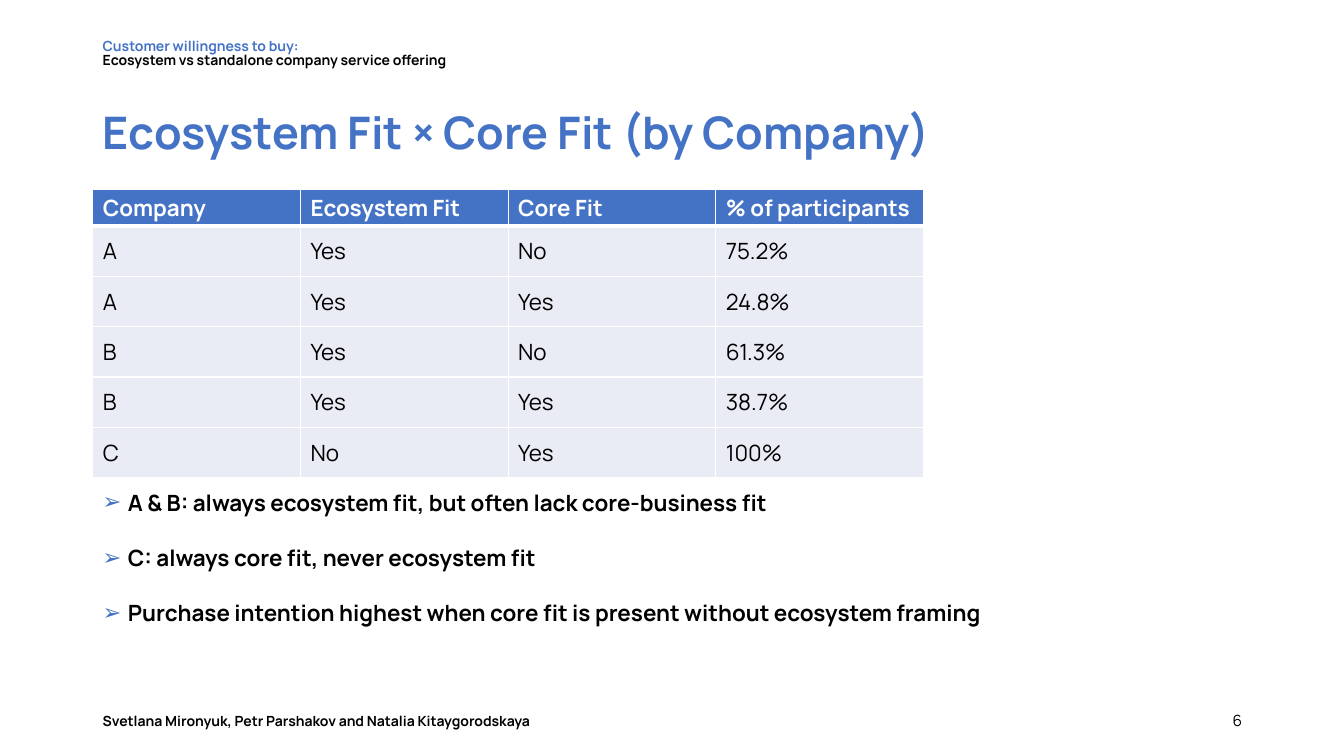
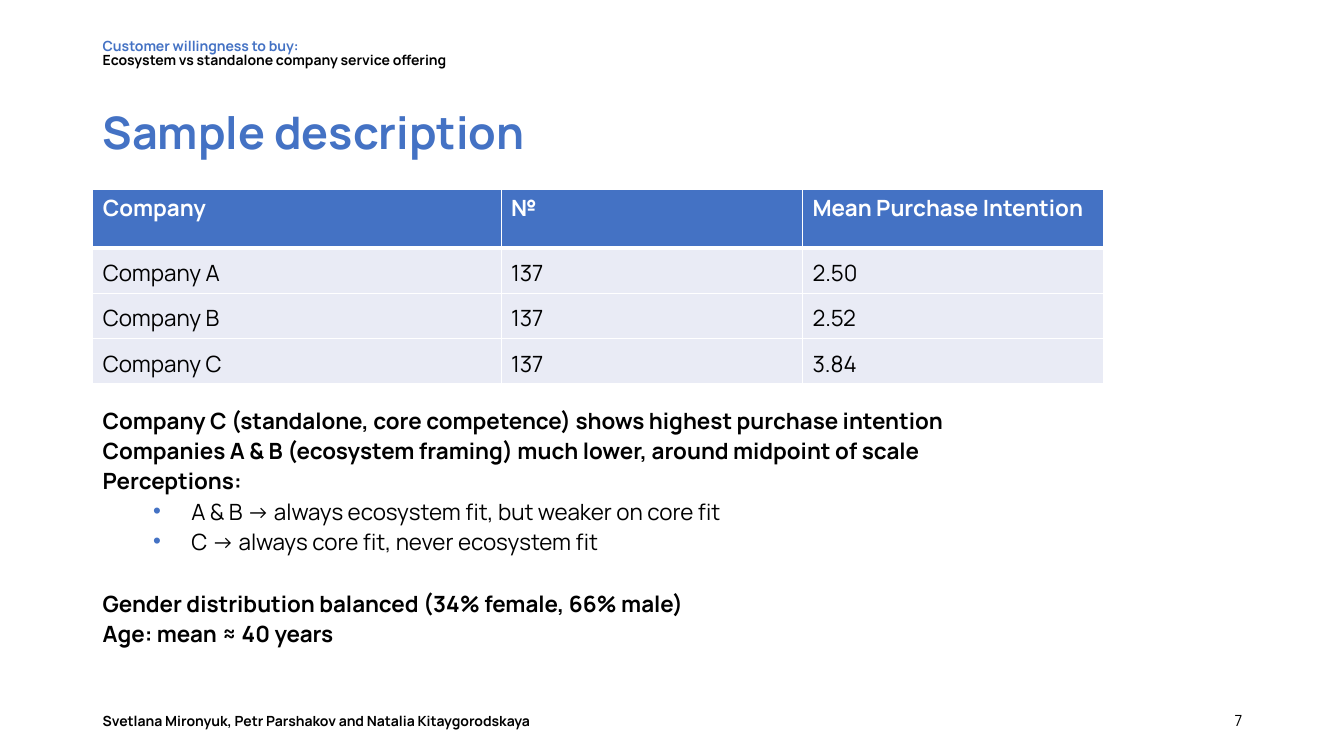
from dataclasses import dataclass

from lxml.etree import SubElement
from pptx import Presentation
from pptx.dml.color import RGBColor as Color
from pptx.enum.text import MSO_ANCHOR as Anchor, PP_ALIGN as Align
from pptx.oxml.ns import qn
from pptx.util import Emu, Pt

PX = 9144


@dataclass(frozen=True)
class Theme:
    accent: str = "4472C4"
    ink: str = "000000"
    paper: str = "FFFFFF"
    row: str = "E9EBF5"
    font: str = "Manrope"
    title: int = 32
    body: int = 16
    number: int = 11
    label: int = 10
    left: int = 92
    width: int = 1150


@dataclass(frozen=True)
class Line:
    text: str
    bold: bool = True
    bullet: str = ""
    margin: int = 0
    hanging: int = 0
    before: int = 6


def px(value):
    return Emu(value * PX)


class Deck:
    def __init__(self, theme):
        self.theme = theme
        self.presentation = Presentation()
        self.presentation.slide_width = px(1333)
        self.presentation.slide_height = px(750)
        self.slide = None

    def new_slide(self, title, number):
        theme = self.theme
        self.slide = self.presentation.slides.add_slide(self.presentation.slide_layouts[6])
        header = self.text_box(34, 40, 575, Anchor.MIDDLE)
        self.paragraph(header, 0, "Customer willingness to buy:", theme.label, theme.accent, spacing=0.83)
        self.paragraph(header, 1, "Ecosystem vs standalone company service offering", theme.label, spacing=0.83)
        heading = self.text_box(84, 100, theme.width, Anchor.MIDDLE)
        self.paragraph(heading, 0, title, theme.title, theme.accent, spacing=0.9)
        authors = self.text_box(695, 40, 499, Anchor.MIDDLE)
        self.paragraph(authors, 0, "Svetlana Mironyuk, Petr Parshakov and Natalia Kitaygorodskaya", theme.label)
        page = self.text_box(695, 40, 300, Anchor.MIDDLE, left=942)
        self.paragraph(page, 0, str(number), theme.number, bold=False).alignment = Align.RIGHT

    def text_box(self, top, height, width, anchor=Anchor.TOP, left=None):
        left = self.theme.left if left is None else left
        shape = self.slide.shapes.add_textbox(px(left), px(top), px(width), px(height))
        shape.text_frame.word_wrap = True
        shape.text_frame.vertical_anchor = anchor
        return shape.text_frame

    def paragraph(self, frame, index, text, size, color=None, bold=True, spacing=1.0):
        paragraph = frame.add_paragraph() if index else frame.paragraphs[0]
        paragraph.text = text
        paragraph.line_spacing = spacing
        for run in paragraph.runs:
            run.font.name = self.theme.font
            run.font.size = Pt(size)
            run.font.bold = bold
            run.font.color.rgb = Color.from_string(color or self.theme.ink)
        return paragraph

    def body(self, top, height, lines):
        frame = self.text_box(top, height, self.theme.width)
        for index, line in enumerate(lines):
            paragraph = self.paragraph(frame, index, line.text, self.theme.body, bold=line.bold, spacing=0.81)
            paragraph.space_before = Pt(line.before if index else 0)
            if line.bullet:
                self.bullet(paragraph, line)

    def bullet(self, paragraph, line):
        properties = paragraph._p.get_or_add_pPr()
        properties.set("marL", str(px(line.margin)))
        properties.set("indent", str(-px(line.hanging)))
        color = SubElement(properties, qn("a:buClr"))
        SubElement(color, qn("a:srgbClr"), val=self.theme.accent)
        SubElement(properties, qn("a:buFont"), typeface="Arial")
        SubElement(properties, qn("a:buChar"), char=line.bullet)

    def table(self, columns, header_height, row_height, rows, margin, spacing=1.0):
        theme = self.theme
        heights = [header_height] + [row_height] * (len(rows) - 1)
        shape = self.slide.shapes.add_table(
            len(rows), len(columns), px(theme.left), px(188), px(sum(columns)), px(sum(heights)))
        table = shape.table
        for column, width in zip(table.columns, columns):
            column.width = px(width)
        for row_index, (row, height, values) in enumerate(zip(table.rows, heights, rows)):
            row.height = px(height)
            is_header = row_index == 0
            for cell, value in zip(row.cells, values):
                self.paragraph(cell.text_frame, 0, value, theme.body,
                               theme.paper if is_header else theme.ink,
                               is_header, 0.9 if is_header else spacing)
                cell.margin_left = cell.margin_right = px(10)
                cell.margin_top = cell.margin_bottom = px(5 if is_header else margin)
                cell.fill.solid()
                cell.fill.fore_color.rgb = Color.from_string(theme.accent if is_header else theme.row)
                self.borders(cell, 3 if row_index == 1 else 1, 3 if is_header else 1)

    def borders(self, cell, top, bottom):
        properties = cell._tc.get_or_add_tcPr()
        for position, (side, width) in enumerate(zip("LRTB", (1, 1, top, bottom))):
            border = SubElement(properties, qn(f"a:ln{side}"), w=str(Pt(width)))
            fill = SubElement(border, qn("a:solidFill"))
            SubElement(fill, qn("a:srgbClr"), val=self.theme.paper)
            properties.insert(position, border)


def fit_slide(deck):
    deck.new_slide("Ecosystem Fit × Core Fit (by Company)", 6)
    deck.table([206] * 4, 36, 50, [
        ("Company", "Ecosystem Fit", "Core Fit", "% of participants"),
        ("A", "Yes", "No", "75.2%"),
        ("A", "Yes", "Yes", "24.8%"),
        ("B", "Yes", "No", "61.3%"),
        ("B", "Yes", "Yes", "38.7%"),
        ("C", "No", "Yes", "100%"),
    ], margin=10)
    findings = (
        "A & B: always ecosystem fit, but often lack core-business fit",
        "C: always core fit, never ecosystem fit",
        "Purchase intention highest when core fit is present without ecosystem framing",
    )
    deck.body(485, 181, [Line(text, bullet="➢", margin=25, hanging=25, before=24) for text in findings])


def sample_slide(deck):
    deck.new_slide("Sample description", 7)
    deck.table([405, 299, 299], 58, 45, [
        ("Company", "№", "Mean Purchase Intention"),
        ("Company A", "137", "2.50"),
        ("Company B", "137", "2.52"),
        ("Company C", "137", "3.84"),
    ], margin=5, spacing=1.15)
    perceptions = [
        Line(text, bold=False, bullet="•", margin=88, hanging=38)
        for text in ("A & B → always ecosystem fit, but weaker on core fit",
                     "C → always core fit, never ecosystem fit")
    ]
    deck.body(404, 263, [
        Line("Company C (standalone, core competence) shows highest purchase intention"),
        Line("Companies A & B (ecosystem framing) much lower, around midpoint of scale"),
        Line("Perceptions:"),
        *perceptions,
        Line("Gender distribution balanced (34% female, 66% male)", before=29),
        Line("Age: mean ≈ 40 years"),
    ])


def main():
    deck = Deck(Theme())
    fit_slide(deck)
    sample_slide(deck)
    deck.presentation.save("out.pptx")


if __name__ == "__main__":
    main()
